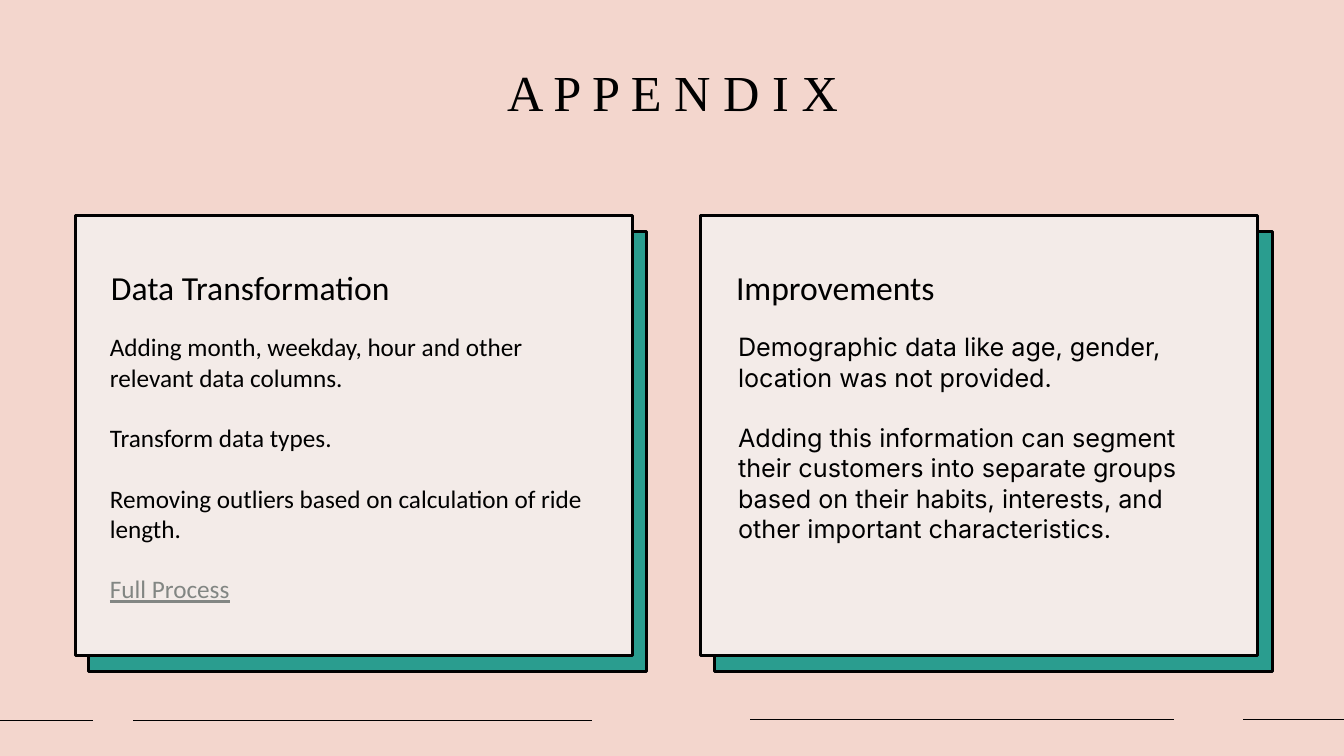
from pptx import Presentation
from pptx.dml.color import RGBColor
from pptx.enum.shapes import MSO_CONNECTOR as Conn, MSO_SHAPE as Kind
from pptx.enum.text import MSO_ANCHOR as Anchor, MSO_AUTO_SIZE as Fit, PP_ALIGN as Align
from pptx.oxml.ns import qn
from pptx.util import Inches, Pt
from lxml.etree import SubElement


def paint(form, hue):
    if hasattr(form, "solid"):
        form.solid()
        form = form.fore_color
    form.rgb = RGBColor.from_string(hue)


def write(shape, box, lines, size, face, pads=(0.1, 0.05), align=Align.LEFT, pitch=1.0, gap=0):
    shape.left, shape.top, shape.width, shape.height = map(Inches, box)
    frame = shape.text_frame
    left, top = map(Inches, pads)
    style = {
        "word_wrap": True, "auto_size": Fit.NONE, "vertical_anchor": Anchor.TOP,
        "margin_left": left, "margin_top": top,
        "margin_right": Inches(0.1), "margin_bottom": Inches(0.05),
    }
    for key, value in style.items():
        setattr(frame, key, value)
    for i, line in enumerate(lines):
        para = frame.paragraphs[0] if i == 0 else frame.add_paragraph()
        props = para._p.get_or_add_pPr()
        props.set("marL", "0")
        props.set("indent", "0")
        SubElement(props, qn("a:buNone"))
        layout = {"alignment": align, "line_spacing": pitch,
                  "space_before": Pt(gap if i else 0), "space_after": Pt(0)}
        for key, value in layout.items():
            setattr(para, key, value)
        run = para.add_run()
        run.text = line
        link = line == "Full Process"
        look = {"size": Pt(size), "name": face, "bold": False, "underline": link}
        for key, value in look.items():
            setattr(run.font, key, value)
        paint(run.font.color, "828683" if link else "000000")


deck = Presentation()
deck.slide_width, deck.slide_height = Inches(13.33), Inches(7.5)
slide = deck.slides.add_slide(deck.slide_layouts[4])
paint(slide.background.fill, "F3D6CD")
title, *bodies = slide.placeholders

for start, end, y in [(0, 0.92, 7.15), (1.32, 5.87, 7.15), (7.44, 11.64, 7.14), (12.33, 13.33, 7.14)]:
    rule = slide.shapes.add_connector(Conn.STRAIGHT, *map(Inches, (start, y, end, y)))
    rule.line.width = Pt(1)
    paint(rule.line.fill, "000000")
    SubElement(rule._element.spPr, qn("a:effectLst"))

for x in (7.09, 0.88):
    back = slide.shapes.add_shape(Kind.RECTANGLE, *map(Inches, (x, 2.3, 5.53, 4.36)))
    back.shadow.inherit = False
    back.line.width = Pt(2)
    paint(back.fill, "2A9D8F")
    paint(back.line.fill, "000000")

for holder in (title, *bodies):
    slide.shapes._spTree.append(holder._element)

write(title, (1.25, 0.56, 10.84, 1.11), ["A P P E N D I X"], 36, "Times New Roman", align=Align.CENTER)

cards = [
    (0.75, 0.99, "Data Transformation", "Calibri", [
        "Adding month, weekday, hour and other relevant data columns.",
        "Transform data types.",
        "Removing outliers based on calculation of ride length.",
        "Full Process",
    ]),
    (6.95, 7.22, "Improvements", "Inter", [
        "Demographic data like age, gender, location was not provided.",
        "Adding this information can segment their customers into separate groups "
        "based on their habits, interests, and other important characteristics.",
    ]),
]
for (x, inner, name, face, lines), head, body in zip(cards, bodies[::2], bodies[1::2]):
    write(head, (x, 2.14, 5.52, 4.36), [name], 24, "Calibri", pads=(0.35, 0.55), pitch=0.9)
    head.line.width = Pt(2)
    paint(head.fill, "F3EBE8")
    paint(head.line.fill, "000000")
    write(body, (inner, 3.24, 5.04, 3.05), lines, 18, face, gap=21.6)

for holder in bodies[1::2]:
    slide.shapes._spTree.append(holder._element)

deck.save("out.pptx")
